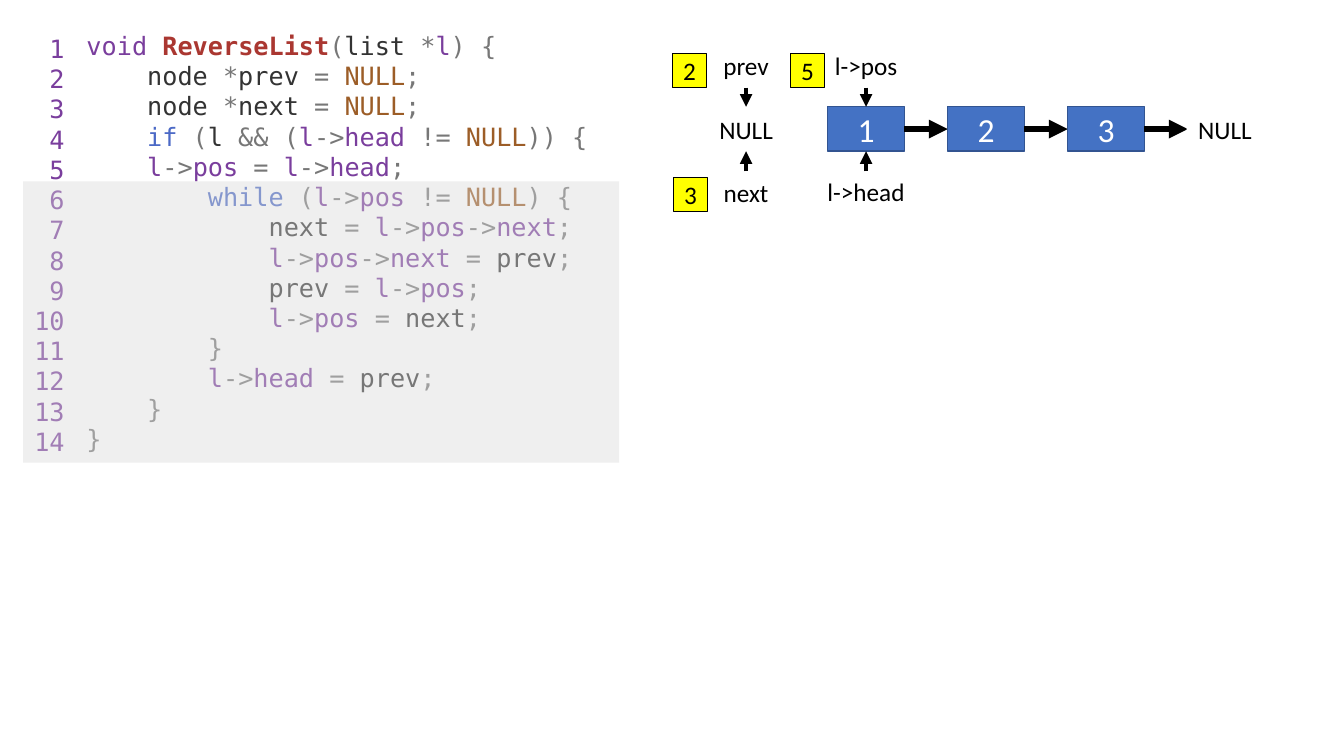
from lxml import etree
from pptx import Presentation
from pptx.dml.color import RGBColor
from pptx.enum.shapes import MSO_CONNECTOR, MSO_SHAPE
from pptx.enum.text import MSO_ANCHOR, MSO_AUTO_SIZE, PP_ALIGN
from pptx.oxml.ns import qn
from pptx.util import Inches, Pt

RECTANGLE = MSO_SHAPE.RECTANGLE
STRAIGHT = MSO_CONNECTOR.STRAIGHT
MIDDLE = MSO_ANCHOR.MIDDLE
GROW = MSO_AUTO_SIZE.SHAPE_TO_FIT_TEXT
LEFT, CENTER, RIGHT = PP_ALIGN.LEFT, PP_ALIGN.CENTER, PP_ALIGN.RIGHT

BODY_FONT = "Calibri"
CODE_FONT = "DejaVu Sans Mono"
COLORS = {
    "black": "000000", "white": "FFFFFF", "yellow": "FFFF00",
    "node": "4472C4", "node_line": "325491", "veil": "D9D9D9",
}
SYNTAX_COLORS = {
    "v": "7A3E9D",  # variable or type
    "f": "AA3731",  # function name
    "p": "777777",  # punctuation
    "n": "333333",  # plain name
    "c": "9C5D27",  # constant
    "k": "4B69C6",  # keyword
}

# Indent level, then segments of syntax key and text
CODE_LINES = [
    (0, "v:void |f:ReverseList|p:(|n:list |p:*|v:l|p:) {"),
    (1, "n:node |p:*|n:prev |p:= |c:NULL|p:;"),
    (1, "n:node |p:*|n:next |p:= |c:NULL|p:;"),
    (1, "k:if |p:(|n:l |p:&& (|v:l|p:->|v:head |p:!= |c:NULL|p:)) {"),
    (1, "v:l|p:->|v:pos |p:= |v:l|p:->|v:head|p:;"),
    (2, "k:while |p:(|v:l|p:->|v:pos |p:!= |c:NULL|p:) {"),
    (3, "n:next |p:= |v:l|p:->|v:pos|p:->|v:next|p:;"),
    (3, "v:l|p:->|v:pos|p:->|v:next |p:= |n:prev|p:;"),
    (3, "n:prev |p:= |v:l|p:->|v:pos|p:;"),
    (3, "v:l|p:->|v:pos |p:= |n:next|p:;"),
    (2, "p:}"),
    (2, "v:l|p:->|v:head |p:= |n:prev|p:;"),
    (1, "p:}"),
    (0, "p:}"),
]

# Linked list layout, in inches
NODE_LEFT, NODE_TOP, NODE_STEP = 8.21, 1.06, 1.19
NODE_WIDTH, NODE_HEIGHT = 0.76, 0.44
NODE_BOTTOM = NODE_TOP + NODE_HEIGHT
POINTER_LEFT = 7.02


def apply_format(target, values):
    for name, value in values.items():
        setattr(target, name, value)


def add_run(paragraph, text, size, color, font=BODY_FONT, bold=False):
    run = paragraph.add_run()
    run.text = text
    apply_format(run.font, {"size": Pt(size), "name": font, "bold": bold})
    run.font.color.rgb = RGBColor.from_string(color)


def add_code_column(slide, box, lines, alignment, wrap):
    """Add one paragraph per line; a line is a list of (syntax key, text)."""
    frame = slide.shapes.add_textbox(*map(Inches, box)).text_frame
    apply_format(frame, {"word_wrap": wrap, "auto_size": GROW})
    for index, segments in enumerate(lines):
        paragraph = frame.add_paragraph() if index else frame.paragraphs[0]
        paragraph.alignment = alignment
        for key, text in segments:
            add_run(paragraph, text, 18, SYNTAX_COLORS[key], CODE_FONT, key == "f")


def add_box(slide, box, fill, text="", size=18, text_color="black",
            line=None, line_width=1, tight=False):
    shape = slide.shapes.add_shape(RECTANGLE, *map(Inches, box))
    shape.shadow.inherit = False
    shape.fill.solid()
    shape.fill.fore_color.rgb = RGBColor.from_string(COLORS[fill])
    if line:
        shape.line.color.rgb = RGBColor.from_string(COLORS[line])
        shape.line.width = Pt(line_width)
    else:
        shape.line.fill.background()
    frame = shape.text_frame
    apply_format(frame, {"vertical_anchor": MIDDLE, "word_wrap": not tight})
    if tight:
        margins = ("margin_left", "margin_top", "margin_right", "margin_bottom")
        apply_format(frame, dict.fromkeys(margins, 0))
    if text:
        paragraph = frame.paragraphs[0]
        paragraph.alignment = CENTER
        add_run(paragraph, text, size, COLORS[text_color])
    return shape


def add_arrow(slide, start, end, width):
    connector = slide.shapes.add_connector(STRAIGHT, *map(Inches, (*start, *end)))
    connector.line.color.rgb = RGBColor.from_string(COLORS["black"])
    connector.line.width = Pt(width)
    properties = connector._element.spPr
    line = properties.find(qn("a:ln"))
    etree.SubElement(line, qn("a:tailEnd"), type="triangle")
    etree.SubElement(properties, qn("a:effectLst"))


def add_badge(slide, left, top, text):
    add_box(slide, (left, top, 0.34, 0.34), "yellow", text,
            line="black", line_width=0.75, tight=True)


def set_opacity(shape, percent):
    color = shape._element.spPr.find(qn("a:solidFill"))[0]
    etree.SubElement(color, qn("a:alpha"), val=str(percent * 1000))


def add_code(slide):
    lines = []
    for level, source in CODE_LINES:
        segments = [segment.split(":", 1) for segment in source.split("|")]
        segments[0][1] = "    " * level + segments[0][1]
        lines.append(segments)
    numbers = [[("v", str(number))] for number in range(1, len(lines) + 1)]
    add_code_column(slide, (0.76, 0.25, 6.67, 4.34), lines, LEFT, True)
    add_code_column(slide, (0.23, 0.28, 0.51, 4.34), numbers, RIGHT, False)


def add_linked_list(slide):
    # Nodes, each with an arrow to the next
    middle = NODE_TOP + NODE_HEIGHT / 2
    for index in range(3):
        left = NODE_LEFT + index * NODE_STEP
        add_box(slide, (left, NODE_TOP, NODE_WIDTH, NODE_HEIGHT), "node",
                str(index + 1), 24, "white", "node_line")
        add_arrow(slide, (left + NODE_WIDTH, middle), (left + NODE_STEP, middle), 4.5)

    # Labels of the null ends and the prev and next pointers
    for left, top, text in [
        (POINTER_LEFT, NODE_TOP, "NULL"), (11.77, NODE_TOP, "NULL"),
        (POINTER_LEFT, 0.43, "prev"), (POINTER_LEFT, 1.69, "next"),
    ]:
        add_box(slide, (left, top, NODE_WIDTH, NODE_HEIGHT), "white", text)

    # Labels of the list's own pointers
    add_box(slide, (8.01, 0.43, 1.16, 0.43), "white", "l->pos")
    add_box(slide, (NODE_LEFT, 1.71, NODE_WIDTH, 0.37), "white", "l->head", tight=True)

    # Pointer arrows from above and below
    for left in (POINTER_LEFT, NODE_LEFT):
        center = left + NODE_WIDTH / 2
        add_arrow(slide, (center, 0.87), (center, NODE_TOP), 3)
        add_arrow(slide, (center, 1.7), (center, NODE_BOTTOM), 3)

    # Line numbers of the executed statements
    for left, top, text in [(6.67, 0.53, "2"), (6.68, 1.76, "3"), (7.84, 0.53, "5")]:
        add_badge(slide, left, top, text)


def main():
    presentation = Presentation()
    presentation.slide_width = Inches(13.33)
    presentation.slide_height = Inches(7.5)
    slide = presentation.slides.add_slide(presentation.slide_layouts[6])
    add_code(slide)
    add_linked_list(slide)
    # Veil over the lines not yet executed
    veil = add_box(slide, (0.23, 1.8, 5.91, 2.79), "veil")
    set_opacity(veil, 41)
    presentation.save("out.pptx")


if __name__ == "__main__":
    main()
